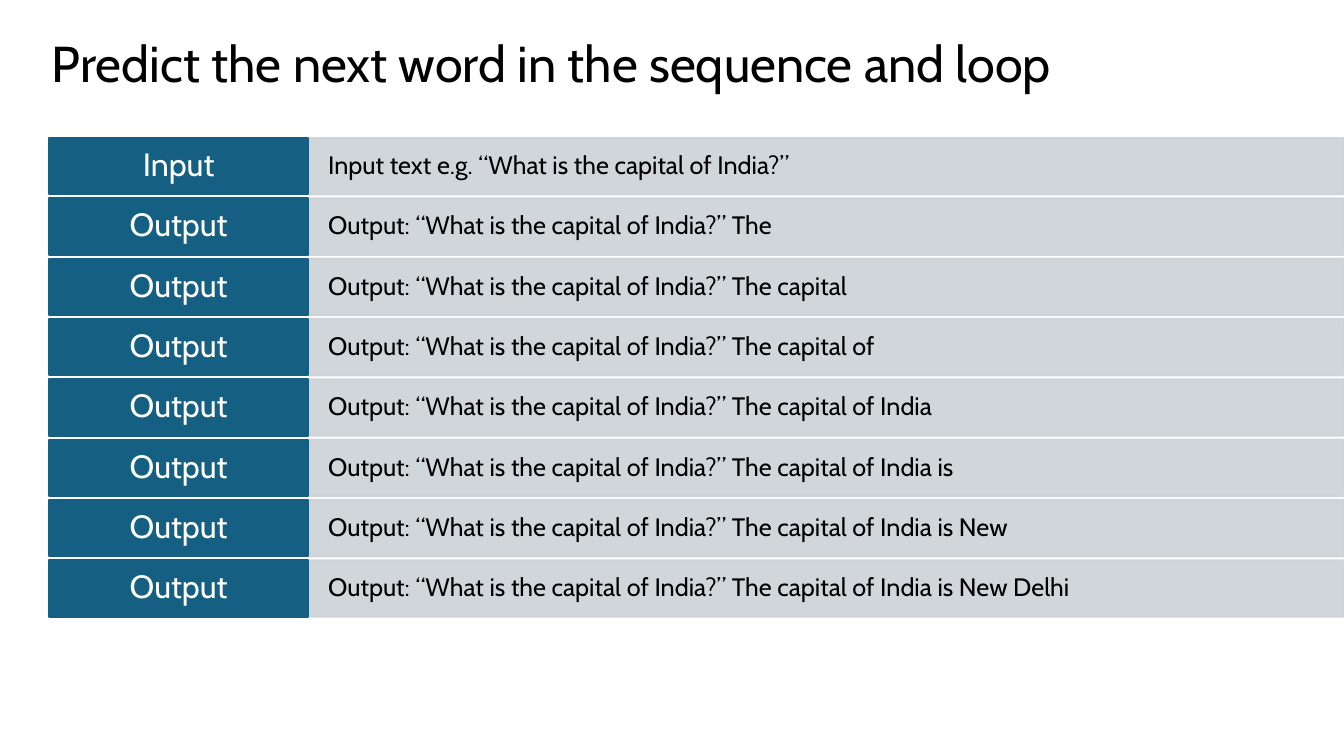
from dataclasses import dataclass

import lxml.etree
import pptx
import pptx.dml.color
import pptx.enum.shapes
import pptx.enum.text
import pptx.oxml.ns
import pptx.util

Cm = pptx.util.Cm
ALIGN = pptx.enum.text.PP_ALIGN


@dataclass(frozen=True)
class Theme:
    font: str = "Cabin"
    ink: str = "000000"
    paper: str = "FFFFFF"
    label_fill: str = "156082"
    content_fill: str = "CCD2D8"
    content_opacity: int = 90
    title_size: int = 36
    label_size: int = 23
    content_size: int = 18
    border: float = 1.5


THEME = Theme()
TITLE = "Predict the next word in the sequence and loop"
QUESTION = "“What is the capital of India?”"
ANSWER = "The capital of India is New Delhi".split()


def rgb(value):
    return pptx.dml.color.RGBColor.from_string(value)


def write(frame, text, size, color, align, insets):
    """Fill a frame with one vertically centred run; insets are (side, top and bottom) in cm."""
    side, end = insets
    frame.word_wrap = True
    frame.auto_size = pptx.enum.text.MSO_AUTO_SIZE.NONE
    frame.vertical_anchor = pptx.enum.text.MSO_ANCHOR.MIDDLE
    frame.margin_left = frame.margin_right = Cm(side)
    frame.margin_top = frame.margin_bottom = Cm(end)
    paragraph = frame.paragraphs[0]
    paragraph.alignment = align
    run = paragraph.add_run()
    run.text = text
    run.font.name = THEME.font
    run.font.size = pptx.util.Pt(size)
    run.font.color.rgb = rgb(color)
    return paragraph


def set_opacity(bar, percent):
    """Make the fill and the border of a bar partly transparent."""
    for color in bar.element.spPr.iter(pptx.oxml.ns.qn("a:srgbClr")):
        alpha = lxml.etree.SubElement(color, pptx.oxml.ns.qn("a:alpha"))
        alpha.set("val", str(percent * 1000))


def add_bar(shapes, left, top, width, height, fill):
    bar = shapes.add_shape(pptx.enum.shapes.MSO_SHAPE.RECTANGLE,
                           Cm(left), Cm(top), Cm(width), Cm(height))
    bar.shadow.inherit = False
    bar.fill.solid()
    bar.fill.fore_color.rgb = rgb(fill)
    bar.line.color.rgb = rgb(fill)
    bar.line.width = pptx.util.Pt(THEME.border)
    return bar


def add_title(slide, left, top, width, height):
    title = slide.shapes.title
    title.left, title.top = Cm(left), Cm(top)
    title.width, title.height = Cm(width), Cm(height)
    write(title.text_frame, TITLE, THEME.title_size, THEME.ink, ALIGN.LEFT, (0.25, 0.13))


def add_step(shapes, label, content, left, top, width, height):
    """Draw one row: its content bar and the label at its left."""
    label_width = 6.53
    content_bar = add_bar(shapes, left + label_width, top, width - label_width, height,
                          THEME.content_fill)
    set_opacity(content_bar, THEME.content_opacity)
    content_text = write(content_bar.text_frame, content, THEME.content_size, THEME.ink,
                         ALIGN.LEFT, (0.5, 0.36))
    label_bar = add_bar(shapes, left, top, label_width, height, THEME.label_fill)
    label_text = write(label_bar.text_frame, label, THEME.label_size, THEME.paper,
                       ALIGN.CENTER, (0.36, 0.15))
    content_text.line_spacing = label_text.line_spacing = 0.9


def add_prediction_loop(slide, left, top, width, height):
    """Stack the input and one output for each predicted word."""
    steps = [("Input", f"Input text e.g. {QUESTION}")]
    for count in range(1, len(ANSWER) + 1):
        steps.append(("Output", f"Output: {QUESTION} {' '.join(ANSWER[:count])}"))
    gap = 0.1
    row_height = (height - gap * (len(steps) - 1)) / len(steps)
    rows = slide.shapes.add_group_shape().shapes
    for index, (label, content) in enumerate(steps):
        add_step(rows, label, content, left, top + index * (row_height + gap), width, row_height)


def main():
    deck = pptx.Presentation()
    deck.slide_width, deck.slide_height = Cm(33.87), Cm(19.05)
    slide = deck.slides.add_slide(deck.slide_layouts[5])
    add_prediction_loop(slide, 1.24, 3.48, 32.63, 12.06)
    add_title(slide, 1.06, 0.66, 29.4, 1.8)
    deck.save("out.pptx")


if __name__ == "__main__":
    main()
